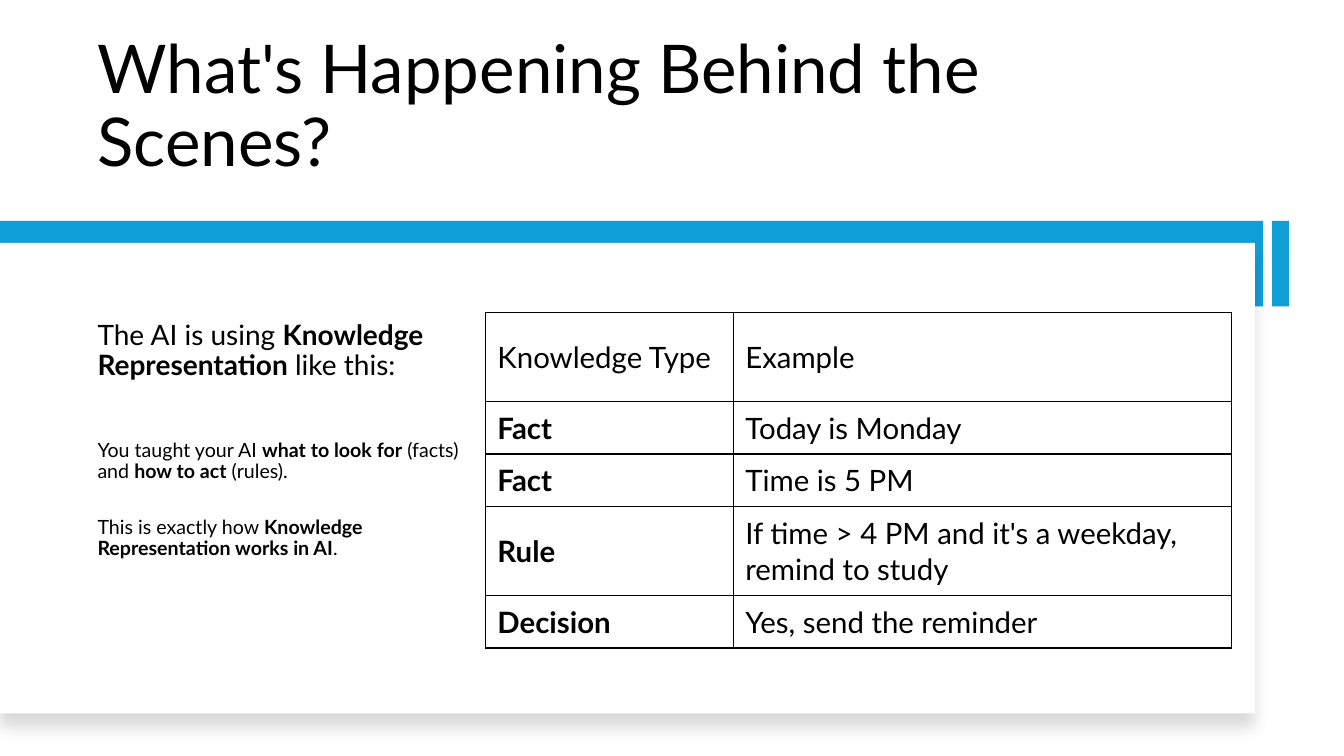
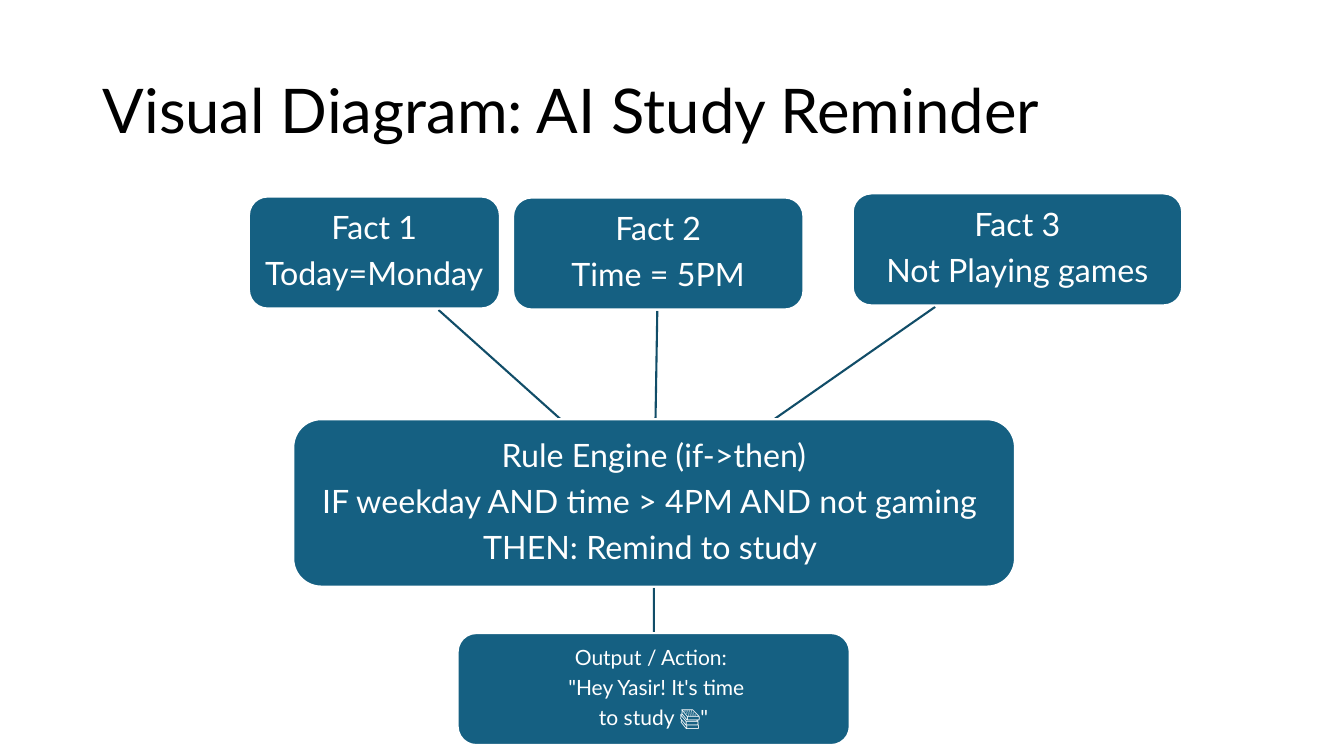
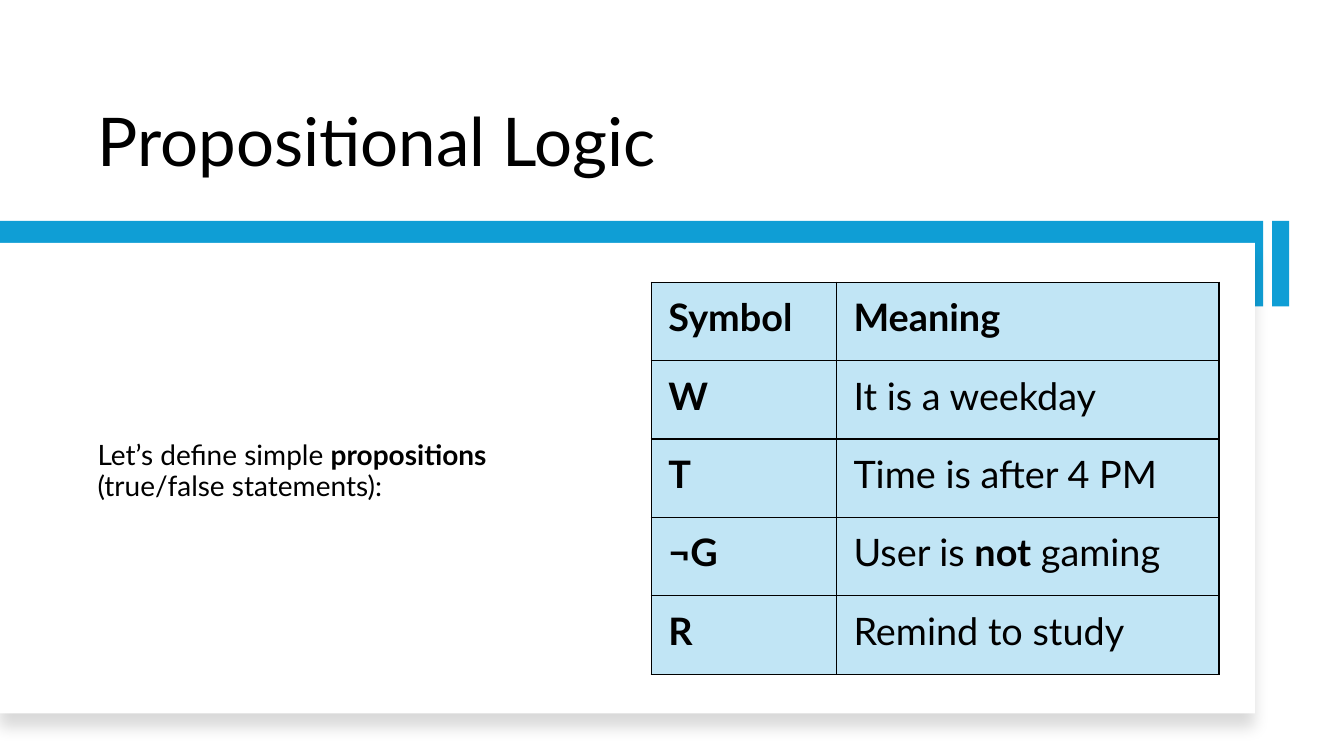
from dataclasses import dataclass
from typing import NamedTuple, Optional

from lxml.etree import SubElement
from pptx import Presentation
from pptx.dml.color import RGBColor
from pptx.enum.shapes import MSO_CONNECTOR, MSO_SHAPE
from pptx.enum.text import MSO_ANCHOR, PP_ALIGN
from pptx.oxml.ns import qn
from pptx.util import Pt

FONT = "Lato"
COLORS = {
    "paper": "FFFFFF",
    "ink": "000000",
    "band": "0F9ED5",
    "node": "156082",
    "link": "114D68",
    "cell": "C1E5F5",
}


class Box(NamedTuple):
    left: float
    top: float
    width: float
    height: float

    @property
    def center(self) -> tuple[float, float]:
        return self.left + self.width / 2, self.top + self.height / 2

    def points(self) -> list:
        return [Pt(value) for value in self]


class Run(NamedTuple):
    text: str
    bold: bool = False


@dataclass
class Para:
    runs: list[Run]
    size: float
    color: str = "ink"
    align: PP_ALIGN = PP_ALIGN.LEFT
    line_spacing: float = 0.9
    before: float = 0
    after: float = 0


@dataclass
class Node:
    box: Box
    lines: list[str]
    size: float = 23
    inset: float = 4.3


@dataclass
class Grid:
    left: float
    top: float
    columns: list[float]
    rows: list[float]
    cells: list[list[list[Run]]]
    size: float
    insets: tuple[float, float, float, float]
    fill: Optional[str] = None


# Shared parts
TITLE_BOX = Box(62.6, 30.2, 792.7, 102.3)
BAND = Box(0, 157.7, 902.2, 61.2)
SIDE_BAR = Box(908.7, 157.7, 12.2, 61.2)
PANEL = Box(0, 173.5, 896.4, 336.2)


def rgb(name: str) -> RGBColor:
    return RGBColor.from_string(COLORS[name])


def set_insets(target, left: float, top: float, right: float, bottom: float) -> None:
    target.margin_left, target.margin_top = Pt(left), Pt(top)
    target.margin_right, target.margin_bottom = Pt(right), Pt(bottom)


def write(frame, paras: list[Para]) -> None:
    frame.word_wrap = True
    for index, para in enumerate(paras):
        target = frame.add_paragraph() if index else frame.paragraphs[0]
        target.alignment = para.align
        target.line_spacing = para.line_spacing
        target.space_before = Pt(para.before)
        target.space_after = Pt(para.after)
        for part in para.runs:
            run = target.add_run()
            run.text = part.text
            run.font.name = FONT
            run.font.size = Pt(para.size)
            run.font.bold = part.bold
            run.font.color.rgb = rgb(para.color)


def add_text(slide, box: Box, paras: list[Para], anchor=MSO_ANCHOR.TOP) -> None:
    frame = slide.shapes.add_textbox(*box.points()).text_frame
    frame.vertical_anchor = anchor
    write(frame, paras)


def add_title(slide, text: str, size: float = 48, box: Box = TITLE_BOX,
              anchor=MSO_ANCHOR.BOTTOM) -> None:
    add_text(slide, box, [Para([Run(text)], size)], anchor)


def add_block(slide, box: Box, fill: str, kind=MSO_SHAPE.RECTANGLE):
    block = slide.shapes.add_shape(kind, *box.points())
    block.shadow.inherit = False
    block.fill.solid()
    block.fill.fore_color.rgb = rgb(fill)
    block.line.fill.background()
    return block


def add_soft_shadow(block) -> None:
    effects = block.element.spPr.find(qn("a:effectLst"))
    shadow = SubElement(effects, qn("a:outerShdw"), blurRad=str(Pt(11)),
                        dist=str(Pt(10)), dir="5400000", algn="t", rotWithShape="0")
    color = SubElement(shadow, qn("a:srgbClr"), val=COLORS["ink"])
    SubElement(color, qn("a:alpha"), val="15000")


def add_panel_frame(slide) -> None:
    add_block(slide, BAND, "band")
    add_soft_shadow(add_block(slide, PANEL, "paper"))
    add_block(slide, SIDE_BAR, "band")


def add_cell_borders(cell) -> None:
    properties = cell._tc.get_or_add_tcPr()
    for side in ("lnL", "lnR", "lnT", "lnB"):
        line = SubElement(properties, qn(f"a:{side}"), w=str(Pt(1)))
        fill = SubElement(line, qn("a:solidFill"))
        SubElement(fill, qn("a:srgbClr"), val=COLORS["ink"])


def add_grid(slide, grid: Grid) -> None:
    box = Box(grid.left, grid.top, sum(grid.columns), sum(grid.rows))
    table = slide.shapes.add_table(len(grid.rows), len(grid.columns), *box.points()).table
    table.first_row = table.horz_banding = False
    for column, width in zip(table.columns, grid.columns):
        column.width = Pt(width)
    for row, height, contents in zip(table.rows, grid.rows, grid.cells):
        row.height = Pt(height)
        for cell, runs in zip(row.cells, contents):
            add_cell_borders(cell)
            if grid.fill:
                cell.fill.solid()
                cell.fill.fore_color.rgb = rgb(grid.fill)
            else:
                cell.fill.background()
            cell.vertical_anchor = MSO_ANCHOR.MIDDLE
            set_insets(cell, *grid.insets)
            write(cell.text_frame, [Para(runs, grid.size, line_spacing=1)])


def add_node(slide, node: Node) -> None:
    block = add_block(slide, node.box, "node", MSO_SHAPE.ROUNDED_RECTANGLE)
    block.line.color.rgb = rgb("paper")
    block.line.width = Pt(1.5)
    frame = block.text_frame
    frame.vertical_anchor = MSO_ANCHOR.MIDDLE
    set_insets(frame, *[node.inset] * 4)
    write(frame, [Para([Run(line)], node.size, "paper", PP_ALIGN.CENTER,
                       after=0.35 * node.size) for line in node.lines])


def add_link(slide, upper: Box, lower: Box) -> None:
    """Join two boxes along the line between centres, from edge to edge."""
    (x1, y1), (x2, y2) = upper.center, lower.center
    slope = (x2 - x1) / (y2 - y1)
    start, end = upper.top + upper.height + 1, lower.top
    link = slide.shapes.add_connector(
        MSO_CONNECTOR.STRAIGHT,
        Pt(x1 + slope * (start - y1)), Pt(start),
        Pt(x1 + slope * (end - y1)), Pt(end))
    link.line.color.rgb = rgb("link")
    link.line.width = Pt(1.5)
    SubElement(link.element.spPr, qn("a:effectLst"))


# Slide 1: knowledge table
def build_knowledge(slide) -> None:
    add_panel_frame(slide)
    add_title(slide, "What's Happening Behind the Scenes?")
    add_text(slide, Box(62.6, 226, 275.8, 238), [
        Para([Run("The AI is using "), Run("Knowledge Representation", True),
              Run(" like this:")], 20),
        Para([Run("You taught your AI "), Run("what to look for", True),
              Run(" (facts) and "), Run("how to act", True), Run(" (rules).")],
             14, before=41.6),
        Para([Run("This is exactly how "),
              Run("Knowledge Representation works in AI", True), Run(".")],
             14, before=25),
    ])
    facts = [
        ("Fact", "Today is Monday"),
        ("Fact", "Time is 5 PM"),
        ("Rule", "If time > 4 PM and it's a weekday, remind to study"),
        ("Decision", "Yes, send the reminder"),
    ]
    cells = [[[Run("Knowledge Type")], [Run("Example")]]]
    cells += [[[Run(kind, True)], [Run(example)]] for kind, example in facts]
    tall, short = 63.4, 37.6
    add_grid(slide, Grid(346.7, 223.3, [177.1, 355.7],
                         [tall, short, short, tall, short], cells, 21,
                         (8.6, 4.3, 8.6, 4.3)))


# Slide 2: rule diagram
def build_diagram(slide) -> None:
    add_title(slide, "Visual Diagram: AI Study Reminder", 44,
              Box(66.2, 28.8, 828, 104.4), MSO_ANCHOR.MIDDLE)
    facts = [
        Node(Box(177.8, 140.4, 179.3, 80), ["Fact 1", "Today=Monday"]),
        Node(Box(366.5, 141.1, 207.4, 80), ["Fact 2", "Time = 5PM"]),
        Node(Box(609.1, 138.2, 235.4, 80), ["Fact 3", "Not Playing games"]),
    ]
    engine = Node(Box(209.5, 299.5, 515.5, 119.5), [
        "Rule Engine (if->then)",
        "IF weekday AND time > 4PM AND not gaming ",
        "THEN: Remind to study ",
    ])
    output = Node(Box(326.9, 452.2, 280.1, 80), [
        "Output / Action: ", " \"Hey Yasir! It's time", " to study 📚\" ",
    ], 15, 3)
    for fact in facts:
        add_link(slide, fact.box, engine.box)
    add_link(slide, engine.box, output.box)
    for node in [*facts, engine, output]:
        add_node(slide, node)


# Slide 3: symbol table
def build_logic(slide) -> None:
    add_panel_frame(slide)
    add_title(slide, "Propositional Logic")
    add_text(slide, Box(62.6, 312, 357.1, 160), [
        Para([Run("Let’s define simple "), Run("propositions", True),
              Run(" (true/false statements):")], 20),
    ])
    meanings = [
        ("Symbol", [Run("Meaning", True)]),
        ("W", [Run("It is a weekday")]),
        ("T", [Run("Time is after 4 PM")]),
        ("¬G", [Run("User is "), Run("not", True), Run(" gaming")]),
        ("R", [Run("Remind to study")]),
    ]
    add_grid(slide, Grid(465.1, 201.6, [132.2, 273.4], [56] * len(meanings),
                         [[[Run(symbol, True)], runs] for symbol, runs in meanings],
                         27, (12.4, 6.2, 12.4, 12.4), "cell"))


def main() -> None:
    deck = Presentation()
    deck.slide_width, deck.slide_height = Pt(960), Pt(540)
    blank = deck.slide_layouts[6]
    for build in (build_knowledge, build_diagram, build_logic):
        slide = deck.slides.add_slide(blank)
        slide.background.fill.solid()
        slide.background.fill.fore_color.rgb = rgb("paper")
        build(slide)
    deck.save("out.pptx")


if __name__ == "__main__":
    main()
